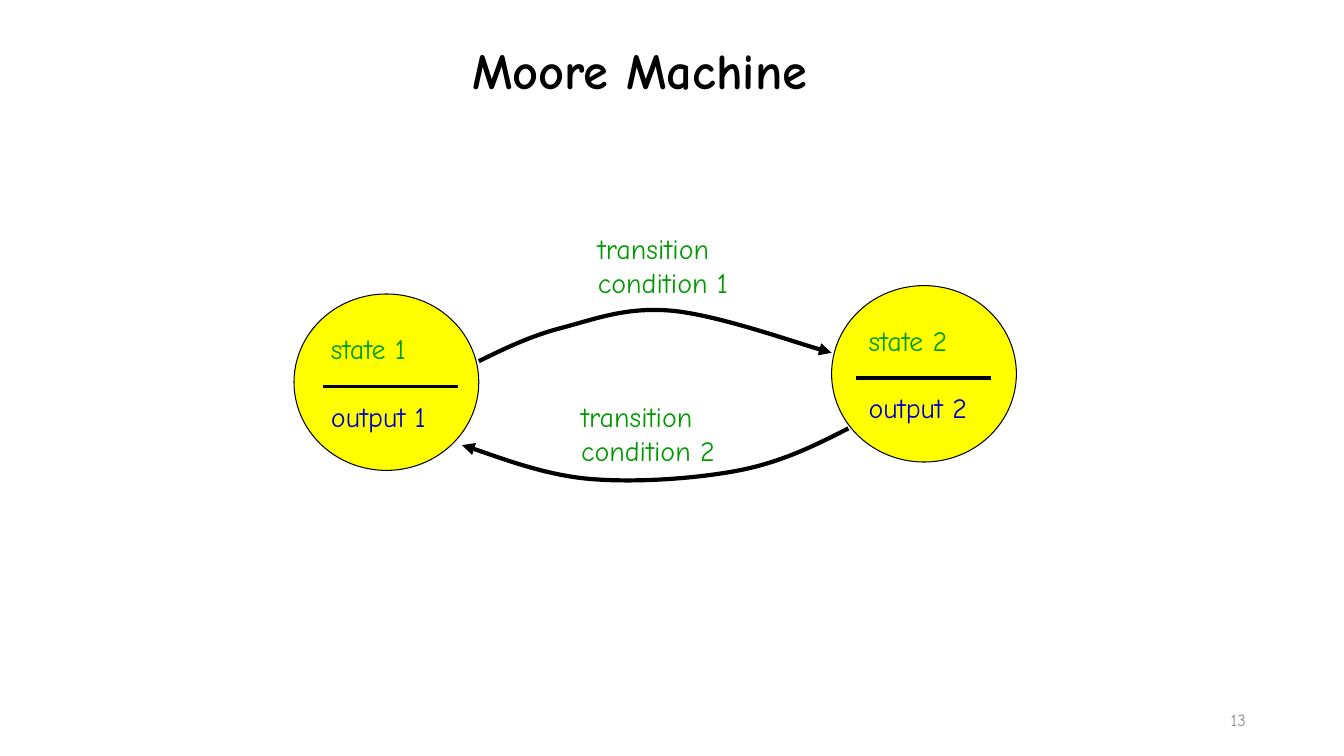
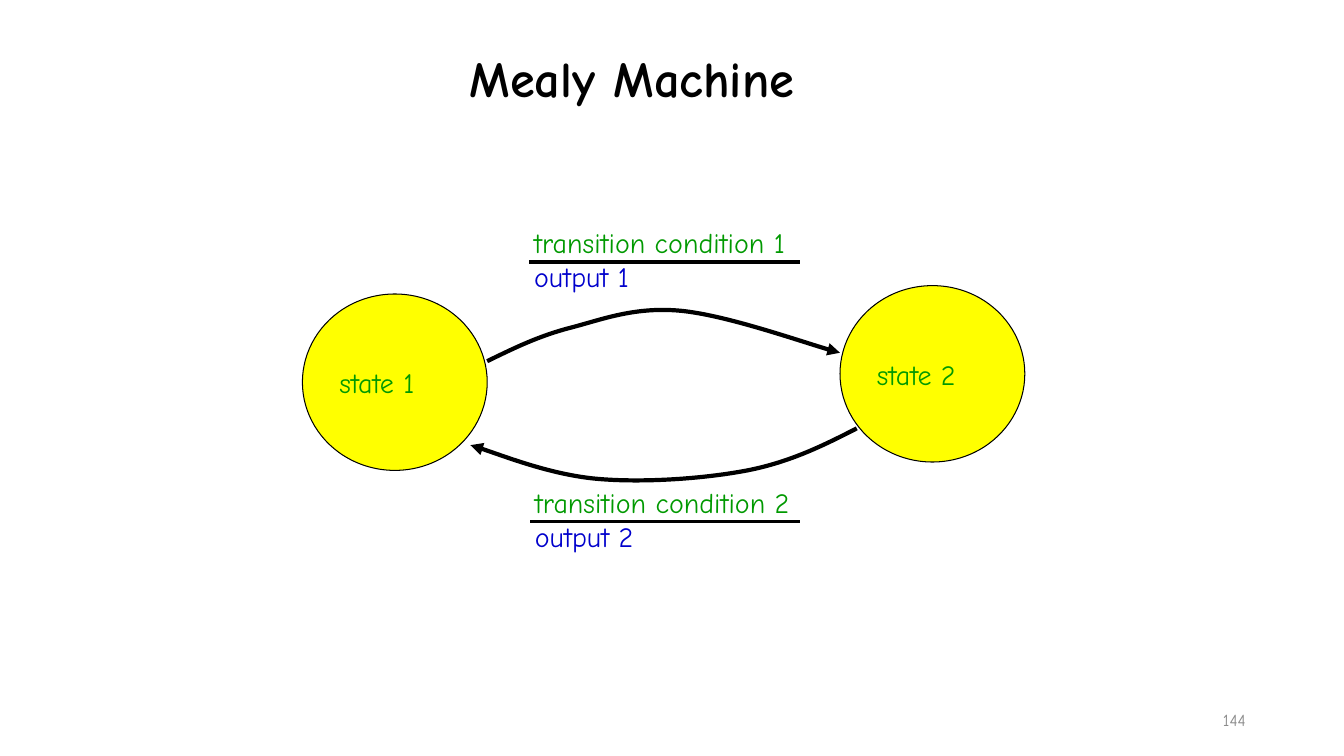
from dataclasses import dataclass
from typing import Optional

from lxml.etree import SubElement
from pptx import Presentation
from pptx.dml.color import RGBColor
from pptx.enum.shapes import MSO_CONNECTOR as Connector, MSO_SHAPE as Preset
from pptx.enum.text import MSO_ANCHOR as Anchor, MSO_AUTO_SIZE as AutoSize, PP_ALIGN as Align
from pptx.oxml.ns import qn
from pptx.util import Inches, Pt

# Shared style
COLORS = {
    "ink": "000000",
    "state": "FFFF00",
    "condition": "009900",
    "output": "0000CC",
    "number": "8C8C8C",
}
FONT = "Comic Neue"
TEXT_SIZE = 20

# Grid of 160 columns by 90 rows
COLUMNS, ROWS = 160, 90
CELL = Inches(1 / 12)
STATE_SIZE = (22, 21)
LABEL_HEIGHT = 9.2
STATE_BAR_LENGTH, STATE_BAR_ROW = 16.1, 11
LABEL_BAR_LENGTH, LABEL_BAR_COLUMN, LABEL_BAR_ROW = 32.2, 0.6, 4.9
NUMBER_BOX = (113.5, 83.3, 36, 4.8)

Point = tuple[float, float]
Line = tuple[str, str]


@dataclass(frozen=True)
class State:
    column: float
    row: float
    bar_offset: float
    lines: tuple[Line, ...]


@dataclass(frozen=True)
class Label:
    column: float
    row: float
    width: float
    lines: tuple[Line, ...]
    has_bar: bool = False


@dataclass(frozen=True)
class Machine:
    title: str
    title_box: tuple[float, float, float, float]
    number: str
    shift: float
    states: tuple[State, ...]
    labels: tuple[Label, ...]


# Start point, then three points for each Bezier segment
TRANSITIONS: tuple[tuple[Point, ...], ...] = (
    ((57, 43), (60.1, 41.5), (63.1, 40), (67, 39), (70.8, 38), (74.6, 36.5),
     (80, 37), (85.3, 37.5), (95.9, 41.2), (99, 42)),
    ((101, 51), (97.1, 53), (93.1, 55), (88, 56), (82.8, 57), (75.5, 57.5),
     (70, 57), (64.6, 56.5), (57.4, 53.7), (55, 53)),
)

MACHINES = (
    Machine(
        "Moore Machine", (55, 0, 46.8, 17.4), "13", 0,
        (
            State(35, 35, 3.4, (("state 1", "condition"), ("output 1", "output"))),
            State(99, 34, 2.9, (("state 2", "condition"), ("output 2", "output"))),
        ),
        (
            Label(70, 27, 19.2, (("transition", "condition"), ("condition 1", "condition"))),
            Label(68, 47, 19.7, (("transition", "condition"), ("condition 2", "condition"))),
        ),
    ),
    Machine(
        "Mealy Machine", (54.7, 1, 100, 17.4), "144", 1,
        (
            State(36, 35, 0, (("state 1", "condition"),)),
            State(100, 34, 0, (("state 2", "condition"),)),
        ),
        (
            Label(62.4, 26.3, 36.6,
                  (("transition condition 1", "condition"), ("output 1", "output")), True),
            Label(62.5, 57.2, 37.1,
                  (("transition condition 2", "condition"), ("output 2", "output")), True),
        ),
    ),
)


def cells(*lengths: float) -> list[int]:
    return [round(length * CELL) for length in lengths]


def color(name: str) -> RGBColor:
    return RGBColor.from_string(COLORS[name])


def write_lines(text_frame, lines: tuple[Line, ...], size: float = TEXT_SIZE,
                align: Align = Align.LEFT, bold: bool = False) -> None:
    text_frame.text = "\n".join(text for text, _ in lines)
    for paragraph, (_, color_name) in zip(text_frame.paragraphs, lines):
        paragraph.alignment = align
        font = paragraph.runs[0].font
        font.name, font.size, font.bold = FONT, Pt(size), bold
        font.color.rgb = color(color_name)


def style_line(shape, width: float) -> None:
    shape.line.color.rgb = color("ink")
    shape.line.width = Pt(width)


def add_bar(shapes, column: float, row: float, length: float) -> None:
    bar = shapes.add_connector(Connector.STRAIGHT, *cells(column, row, column + length, row))
    style_line(bar, 2.5)
    SubElement(bar.element.spPr, qn("a:effectLst"))


def add_state(shapes, state: State) -> None:
    circle = shapes.add_shape(Preset.OVAL, *cells(state.column, state.row, *STATE_SIZE))
    circle.shadow.inherit = False
    circle.fill.solid()
    circle.fill.fore_color.rgb = color("state")
    style_line(circle, 0.75)
    text_frame = circle.text_frame
    text_frame.word_wrap = False
    text_frame.vertical_anchor = Anchor.MIDDLE
    write_lines(text_frame, state.lines)
    # Room for the bar between state and output
    if len(state.lines) > 1:
        text_frame.paragraphs[1].space_before = Pt(24)
        add_bar(shapes, state.column + state.bar_offset, state.row + STATE_BAR_ROW,
                STATE_BAR_LENGTH)


def add_transition(shapes, points: tuple[Point, ...], shift: float) -> None:
    start, *others = [tuple(cells(column + shift, row)) for column, row in points]
    builder = shapes.build_freeform(*start)
    builder.add_line_segments(others, close=False)
    curve = builder.convert_to_shape()
    curve.shadow.inherit = False
    curve.fill.background()
    style_line(curve, 3)
    properties = curve.element.spPr
    SubElement(properties.find(qn("a:ln")), qn("a:tailEnd"), type="triangle")
    # Turn each three line segments into one Bezier segment
    segments = list(properties.iter(qn("a:lnTo")))
    outline = segments[0].getparent()
    for index in range(0, len(segments), 3):
        bezier = SubElement(outline, qn("a:cubicBezTo"))
        for segment in segments[index:index + 3]:
            bezier.append(segment[0])
            outline.remove(segment)


def add_text(shapes, box: tuple[float, ...], lines: tuple[Line, ...],
             size: float = TEXT_SIZE, align: Align = Align.LEFT,
             anchor: Anchor = Anchor.TOP, wrap: Optional[bool] = False) -> None:
    text_frame = shapes.add_textbox(*cells(*box)).text_frame
    text_frame.word_wrap = wrap
    text_frame.vertical_anchor = anchor
    write_lines(text_frame, lines, size, align)


def add_label(shapes, label: Label) -> None:
    if label.has_bar:
        shapes = shapes.add_group_shape().shapes
    add_text(shapes, (label.column, label.row, label.width, LABEL_HEIGHT), label.lines)
    if label.has_bar:
        add_bar(shapes, label.column + LABEL_BAR_COLUMN, label.row + LABEL_BAR_ROW,
                LABEL_BAR_LENGTH)


def set_title(title, machine: Machine) -> None:
    title.left, title.top, title.width, title.height = cells(*machine.title_box)
    text_frame = title.text_frame
    text_frame.auto_size = AutoSize.NONE
    text_frame.vertical_anchor = Anchor.MIDDLE
    write_lines(text_frame, ((machine.title, "ink"),), 36, bold=True)
    text_frame.paragraphs[0].line_spacing = 0.9


def add_machine_slide(presentation, machine: Machine) -> None:
    slide = presentation.slides.add_slide(presentation.slide_layouts.get_by_name("Title Only"))
    shapes = slide.shapes
    set_title(shapes.title, machine)
    for state in machine.states:
        add_state(shapes, state)
    for points in TRANSITIONS:
        add_transition(shapes, points, machine.shift)
    for label in machine.labels:
        add_label(shapes, label)
    # Slide number
    add_text(shapes, NUMBER_BOX, ((machine.number, "number"),), 12,
             Align.RIGHT, Anchor.MIDDLE, True)


def main() -> None:
    presentation = Presentation()
    presentation.slide_width, presentation.slide_height = cells(COLUMNS, ROWS)
    for machine in MACHINES:
        add_machine_slide(presentation, machine)
    presentation.save("out.pptx")


if __name__ == "__main__":
    main()
